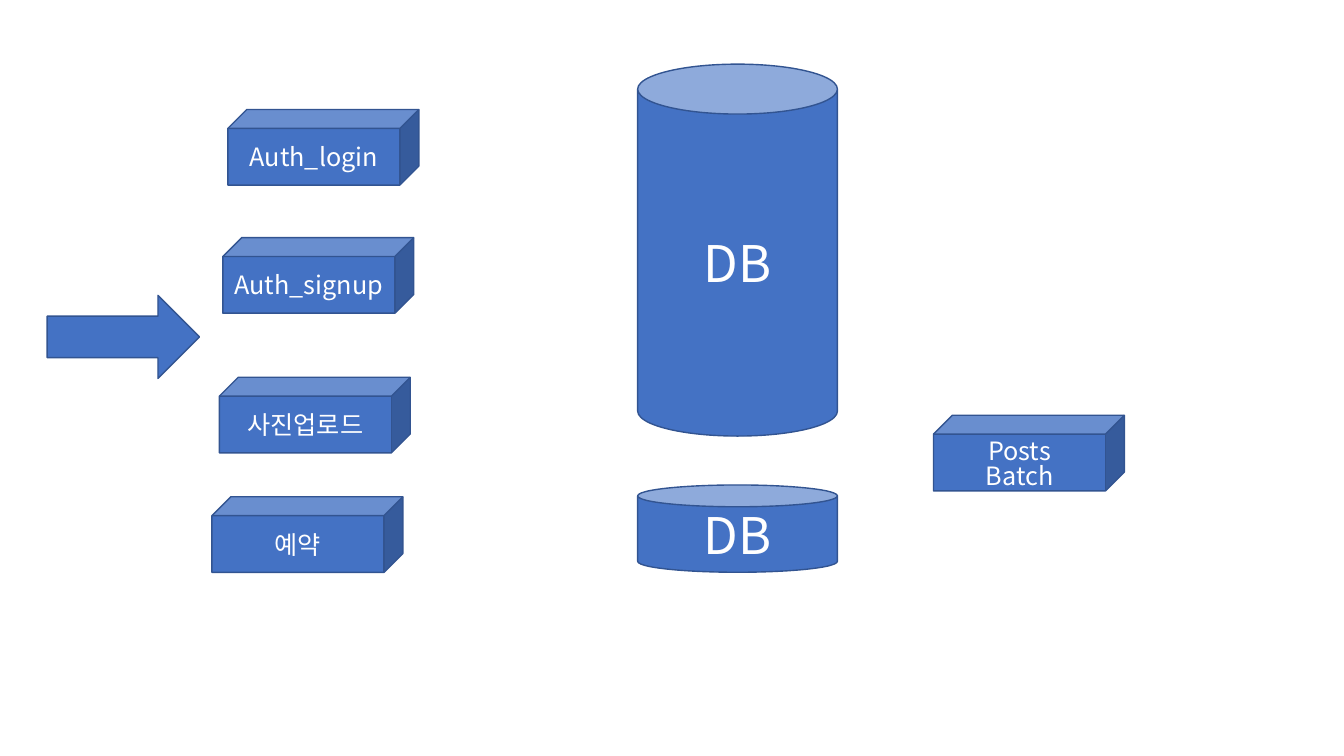
from lxml.etree import SubElement
from pptx import Presentation
from pptx.dml.color import RGBColor
from pptx.enum.shapes import MSO_SHAPE as Kind
from pptx.enum.text import MSO_ANCHOR as Anchor, PP_ALIGN as Align
from pptx.oxml.ns import qn
from pptx.util import Pt

FONT = "Noto Sans CJK KR"
FILL, EDGE, INK = "4472C4", "325491", "FFFFFF"


def color(code):
    """Turn a hex string into a colour."""
    return RGBColor.from_string(code)


def block(slide, kind, box):
    """Draw a filled preset shape in the box."""
    shape = slide.shapes.add_shape(kind, *[Pt(n) for n in box])
    shape.shadow.inherit = False
    shape.fill.solid()
    shape.fill.fore_color.rgb = color(FILL)
    shape.line.color.rgb = color(EDGE)
    shape.line.width = Pt(1)
    return shape


def label(shape, text, size):
    """Centre text on a shape, with tight lines after the first."""
    frame = shape.text_frame
    frame.text = text
    frame.word_wrap = True
    frame.vertical_anchor = Anchor.MIDDLE
    for row, para in enumerate(frame.paragraphs):
        para.alignment = Align.CENTER
        if row:
            para.line_spacing = 0.82
        for run in para.runs:
            run.font.name = FONT
            run.font.size = Pt(size)
            run.font.color.rgb = color(INK)
            east = SubElement(run.font._element, qn("a:ea"))
            east.set("typeface", FONT)


def service(slide, left, top, text):
    """Draw a service as a labelled cube."""
    label(block(slide, Kind.CUBE, (left, top, 136.4, 54)), text, 18)


def store(slide, top, height):
    """Draw a database as a labelled can."""
    label(block(slide, Kind.CAN, (455.5, top, 142.7, height)), "DB", 36)


def diagram(slide):
    """Place the request arrow, services and databases."""
    block(slide, Kind.RIGHT_ARROW, (33.7, 211, 108.8, 59.3))
    for left, top, text in (
        (162.8, 78.2, "Auth_login"),
        (159.2, 169.7, "Auth_signup"),
        (156.7, 269.5, "사진업로드"),
        (151.4, 354.8, "예약"),
        (666.8, 296.6, "Posts\nBatch"),
    ):
        service(slide, left, top, text)
    store(slide, 45.8, 265.7)
    store(slide, 346.4, 62.4)


def main():
    """Build and save the slide."""
    deck = Presentation()
    deck.slide_width, deck.slide_height = Pt(960), Pt(540)
    diagram(deck.slides.add_slide(deck.slide_layouts[6]))
    deck.save("out.pptx")


if __name__ == "__main__":
    main()
